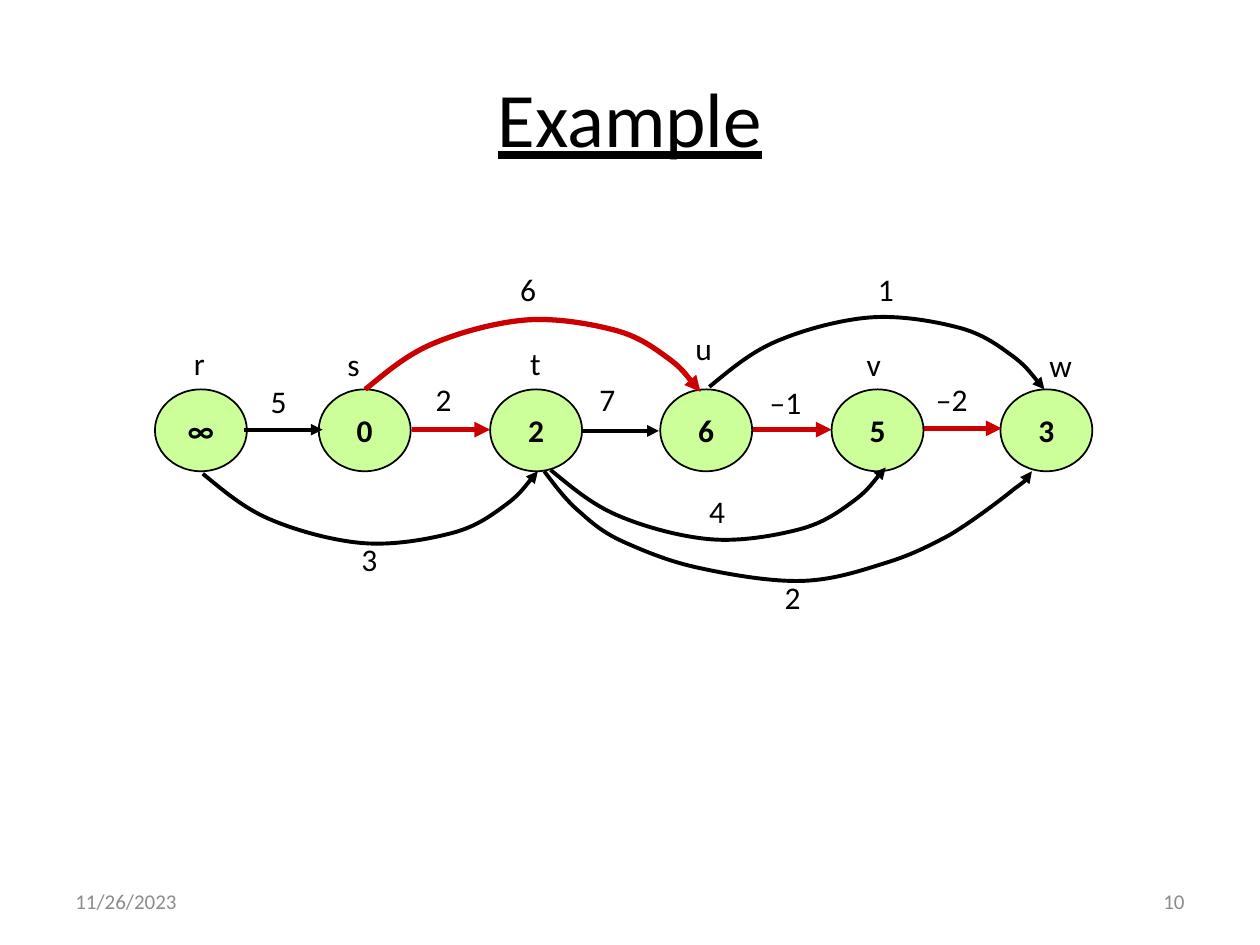
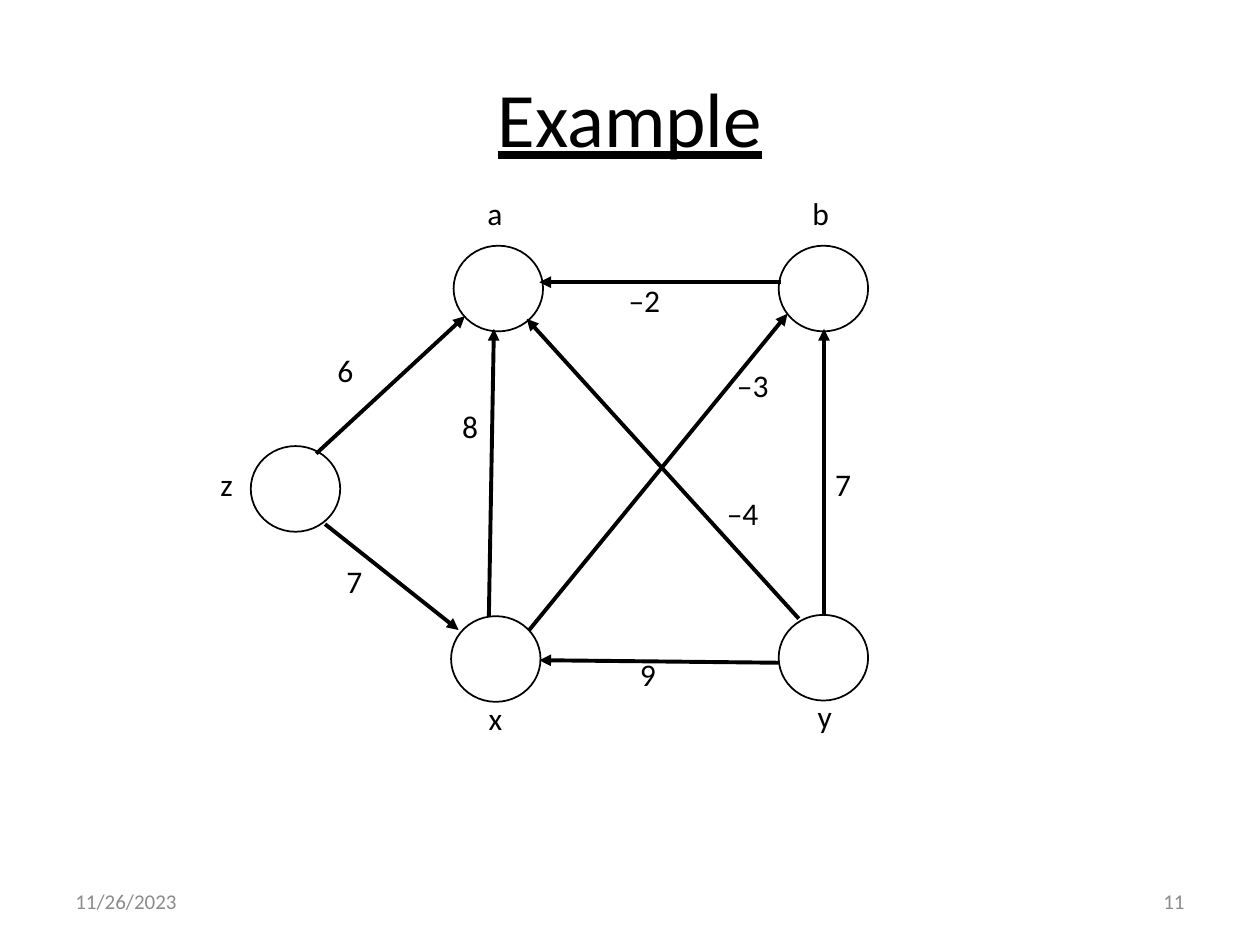
"""Build two slides that show weighted directed graphs."""
from lxml.etree import SubElement
from pptx import Presentation
from pptx.dml.color import RGBColor
from pptx.enum.shapes import MSO_CONNECTOR, MSO_SHAPE
from pptx.enum.text import MSO_ANCHOR, MSO_AUTO_SIZE, PP_ALIGN
from pptx.oxml.ns import qn
from pptx.util import Cm, Pt

HUES = {"ink": "000000", "red": "CC0000", "lime": "CCFF99", "gray": "8C8C8C"}
FONTS = {
    "title": {"size": Pt(44), "underline": True},
    "node": {"size": Pt(18), "bold": True},
    "label": {"size": Pt(18)},
    "foot": {"size": Pt(12)},
}
FRAMES = {
    "title": {"word_wrap": True, "vertical_anchor": MSO_ANCHOR.MIDDLE},
    "node": {"word_wrap": False, "vertical_anchor": MSO_ANCHOR.MIDDLE},
    "label": {"word_wrap": False, "auto_size": MSO_AUTO_SIZE.SHAPE_TO_FIT_TEXT},
    "foot": {"word_wrap": True, "vertical_anchor": MSO_ANCHOR.MIDDLE},
}
WIDTHS = {"r": 0.31, "s": 0.33, "t": 0.29, "w": 0.44, "z": 0.3, "a": 0.32, "b": 0.34}

ARC = [(0, 0), (0.16, -0.13), (0.32, -0.27), (0.53, -0.36), (0.74, -0.45),
       (1.03, -0.53), (1.27, -0.55), (1.51, -0.57), (1.79, -0.52), (1.98, -0.47),
       (2.17, -0.42), (2.29, -0.33), (2.4, -0.25), (2.51, -0.17), (2.58, -0.07),
       (2.66, 0.02)]
SWEEP = [(4.32, 3.74), (4.41, 3.86), (4.5, 3.98), (4.61, 4.07), (4.72, 4.17),
         (4.81, 4.24), (4.97, 4.31), (5.13, 4.38), (5.32, 4.46), (5.56, 4.51),
         (5.79, 4.56), (6.13, 4.62), (6.38, 4.61), (6.62, 4.6), (6.83, 4.53),
         (7.02, 4.47), (7.22, 4.41), (7.36, 4.34), (7.53, 4.25), (7.7, 4.15),
         (7.94, 3.97), (8.05, 3.88), (8.16, 3.8), (8.18, 3.77), (8.19, 3.74)]

CHAIN = [(1.23, "∞"), (2.53, "0"), (3.89, "2"), (5.24, "6"), (6.6, "5"), (7.94, "3")]
STEPS = [(1.94, 2.56, 3.41, "ink"), (3.27, 3.89, 3.41, "red"), (4.62, 5.23, 3.42, "ink"),
         (5.98, 6.6, 3.41, "red"), (7.33, 7.95, 3.4, "red")]
BOWS = [(2.9, 3.09, 1, "red"), (5.63, 3.07, 1, "ink"),
        (1.61, 3.76, -1, "ink"), (4.37, 3.73, -1, "ink")]
CHAIN_TAGS = [
    ("r", 1.44, 2.68), ("s", 2.66, 2.69), ("t", 4.11, 2.68), ("u", 5.42, 2.56),
    ("v", 6.78, 2.69), ("w", 8.23, 2.7), ("5", 2.05, 2.98), ("2", 3.36, 2.97),
    ("7", 4.66, 2.97), ("–1", 6.01, 2.99), ("–2", 7.33, 2.97), ("6", 4.03, 2.09),
    ("1", 6.87, 2.09), ("3", 2.77, 4.24), ("2", 6.13, 4.54), ("4", 5.53, 3.86)]

RINGS = [(1.99, 3.54), (6.18, 4.88), (3.58, 4.89), (6.18, 1.95), (3.6, 1.95)]
EDGES = [
    (2.51, 3.6, 3.69, 2.51), (2.58, 4.16, 3.64, 5), (3.88, 4.89, 3.92, 2.61),
    (6.54, 4.87, 6.54, 2.61), (6.18, 5.26, 4.28, 5.24), (4.2, 5, 6.25, 2.49),
    (6.2, 2.24, 4.28, 2.24), (6.34, 4.91, 4.18, 2.53)]
NET_TAGS = [
    ("z", 1.65, 3.64), ("a", 3.77, 1.49), ("b", 6.35, 1.49), ("x", 3.78, 5.5),
    ("y", 6.39, 5.48), ("6", 2.58, 2.74), ("–3", 5.75, 2.86), ("9", 4.98, 5.15),
    ("7", 6.53, 3.64), ("7", 2.65, 4.41), ("8", 3.57, 3.18), ("–2", 4.89, 2.18),
    ("–4", 5.67, 3.87)]


def inch(*sizes):
    """Turn inches into lengths."""
    return [Cm(2.54 * size) for size in sizes]


def put(thing, values):
    """Set each named value on a thing."""
    for name, value in values.items():
        setattr(thing, name, value)


def hue(name):
    """Look up a colour by name."""
    return RGBColor.from_string(HUES[name])


class Deck:
    """Hold the style and the current slide."""

    def __init__(self):
        """Start an empty deck."""
        self.prs = Presentation()
        put(self.prs, dict(zip(("slide_width", "slide_height"), inch(10, 7.5))))

    def page(self, title, date, number):
        """Add a slide with its title and footers."""
        self.shapes = self.prs.slides.add_slide(self.prs.slide_layouts[6]).shapes
        self.text(title, (0.5, 0.3, 9, 1.25), "title", PP_ALIGN.CENTER)
        self.text(date, (0.5, 6.95, 2.33, 0.4), "foot", tint="gray")
        self.text(number, (7.17, 6.95, 2.33, 0.4), "foot", PP_ALIGN.RIGHT, "gray")

    def letter(self, shape, text, style, align, tint="ink"):
        """Fill a shape with styled text."""
        frame = shape.text_frame
        put(frame, FRAMES[style])
        para = frame.paragraphs[0]
        para.alignment = align
        run = para.add_run()
        run.text = text
        put(run.font, {"name": "Calibri", **FONTS[style]})
        run.font.color.rgb = hue(tint)

    def text(self, text, box, style, align=PP_ALIGN.LEFT, tint="ink"):
        """Add a text box."""
        self.letter(self.shapes.add_textbox(*inch(*box)), text, style, align, tint)

    def tags(self, rows):
        """Add the small labels of a graph."""
        for text, left, top in rows:
            wide = WIDTHS.get(text, 0.37 if len(text) == 1 else 0.53)
            self.text(text, (left, top, wide, 0.4), "label")

    def stroke(self, shape, tint, width):
        """Set the line of a shape."""
        shape.line.color.rgb = hue(tint)
        shape.line.width = Pt(width)

    def tip(self, shape, tint):
        """Style a line as an arrow with no shadow."""
        self.stroke(shape, tint, 3 if tint == "red" else 2.25)
        props = shape._element.spPr
        SubElement(props.find(qn("a:ln")), qn("a:tailEnd"), type="triangle")
        if props.find(qn("a:effectLst")) is None:
            SubElement(props, qn("a:effectLst"))

    def node(self, box, text="", fill=None):
        """Add a round node."""
        shape = self.shapes.add_shape(MSO_SHAPE.OVAL, *inch(*box))
        shape.shadow.inherit = False
        self.stroke(shape, "ink", 1)
        if fill:
            shape.fill.solid()
            shape.fill.fore_color.rgb = hue(fill)
        else:
            shape.fill.background()
        if text:
            self.letter(shape, text, "node", PP_ALIGN.CENTER)

    def arrow(self, ends, tint="ink"):
        """Add a straight arrow."""
        self.tip(self.shapes.add_connector(MSO_CONNECTOR.STRAIGHT, *inch(*ends)), tint)

    def curve(self, points, tint="ink"):
        """Add a curved arrow through Bezier points."""
        first, *rest = [inch(*point) for point in points]
        pen = self.shapes.build_freeform(*first)
        pen.add_line_segments(rest, close=False)
        shape = pen.convert_to_shape()
        shape.fill.background()
        shape.shadow.inherit = False
        track = next(shape._element.iter(qn("a:path")))
        for spot, part in enumerate(track.findall(qn("a:lnTo"))):
            if spot % 3 == 0:
                bend = SubElement(track, qn("a:cubicBezTo"))
            bend.append(part[0])
            track.remove(part)
        self.tip(shape, tint)


def main():
    """Draw both graphs and save the deck."""
    deck = Deck()
    deck.page("Example", "11/26/2023", "10")
    for left, text in CHAIN:
        deck.node((left, 3.09, 0.73, 0.65), text, "lime")
    for start, end, top, tint in STEPS:
        deck.arrow((start, top, end, top), tint)
    for left, top, turn, tint in BOWS:
        deck.curve([(left + x, top + turn * y) for x, y in ARC], tint)
    deck.curve(SWEEP)
    deck.tags(CHAIN_TAGS)

    deck.page("Example", "11/26/2023", "11")
    for left, top in RINGS:
        deck.node((left, top, 0.71, 0.68))
    for ends in EDGES:
        deck.arrow(ends)
    deck.tags(NET_TAGS)
    deck.prs.save("out.pptx")


if __name__ == "__main__":
    main()
